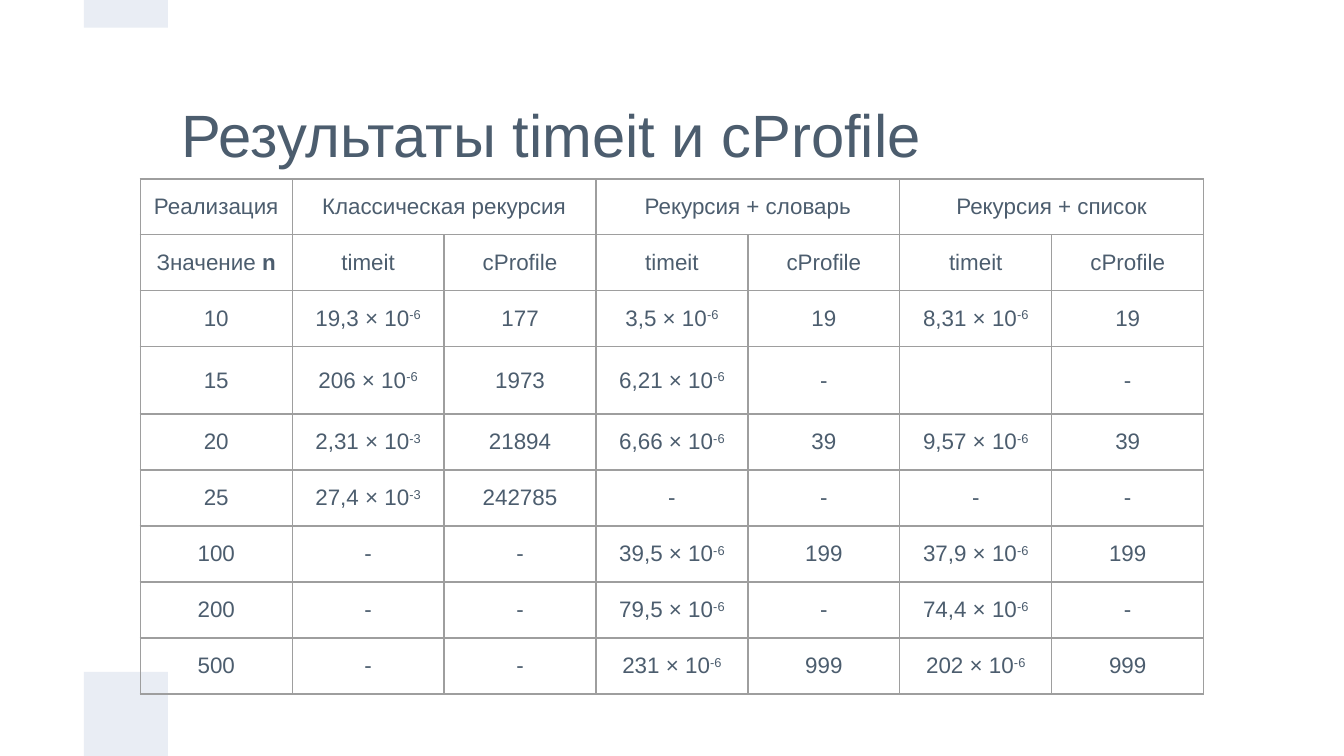
from dataclasses import dataclass

from lxml.etree import SubElement as Sub
from pptx import Presentation
from pptx.dml.color import RGBColor as Rgb
from pptx.enum.shapes import MSO_SHAPE as Shape
from pptx.enum.text import MSO_ANCHOR as Anchor, PP_ALIGN as Align
from pptx.oxml.ns import qn
from pptx.util import Inches, Pt


@dataclass(frozen=True)
class Theme:
    """Colours, type and spacing of the slide."""

    ink: str = "4C5D6E"
    pale: str = "E9EDF4"
    rule: str = "9E9E9E"
    font: str = "Arial"
    head: int = 32
    body: int = 12
    bare: int = 18
    line: float = 0.75
    pad: float = 0.1


THEME = Theme()
COLS, ROWS = 16, 9
WIDE = 10
HIGH = WIDE * ROWS / COLS
HEADS = ["Классическая рекурсия", "Рекурсия + словарь", "Рекурсия + список"]
DATA = [
    ["10", "19,3 × 10^-6", "177", "3,5 × 10^-6", "19", "8,31 × 10^-6", "19"],
    ["15", "206 × 10^-6", "1973", "6,21 × 10^-6", "-", "", "-"],
    ["20", "2,31 × 10^-3", "21894", "6,66 × 10^-6", "39", "9,57 × 10^-6", "39"],
    ["25", "27,4 × 10^-3", "242785", "-", "-", "-", "-"],
    ["100", "-", "-", "39,5 × 10^-6", "199", "37,9 × 10^-6", "199"],
    ["200", "-", "-", "79,5 × 10^-6", "-", "74,4 × 10^-6", "-"],
    ["500", "-", "-", "231 × 10^-6", "999", "202 × 10^-6", "999"],
]


def grid(col, row, wide, high):
    """Turn grid columns and rows into a box of lengths."""
    dx, dy = WIDE / COLS, HIGH / ROWS
    return [Inches(n) for n in (col * dx, row * dy, wide * dx, high * dy)]


def style(para, size):
    """Give a paragraph the theme font."""
    para.font.name = THEME.font
    para.font.size = Pt(size)
    para.font.color.rgb = Rgb.from_string(THEME.ink)


def inset(part):
    """Set equal margins on a text frame or cell."""
    part.margin_left = part.margin_right = Inches(THEME.pad)
    part.margin_top = part.margin_bottom = Inches(THEME.pad)


def block(slide, box):
    """Draw one pale block that fills the box."""
    shape = slide.shapes.add_shape(Shape.RECTANGLE, *box)
    shape.shadow.inherit = False
    shape.fill.solid()
    shape.fill.fore_color.rgb = Rgb.from_string(THEME.pale)
    shape.line.fill.background()


def title(slide, box, text):
    """Write the slide title in the box."""
    frame = slide.shapes.add_textbox(*box).text_frame
    frame.word_wrap = True
    inset(frame)
    para = frame.paragraphs[0]
    para.add_run().text = text
    style(para, THEME.head)


def border(cell):
    """Rule all four sides of a cell."""
    props = cell._tc.get_or_add_tcPr()
    for side in ("lnL", "lnR", "lnT", "lnB"):
        line = Sub(props, qn(f"a:{side}"), w=str(Pt(THEME.line)))
        fill = Sub(line, qn("a:solidFill"))
        Sub(fill, qn("a:srgbClr"), val=THEME.rule)


def write(cell, text):
    """Write centred text, raising what follows a caret and bolding what follows a star."""
    para = cell.text_frame.paragraphs[0]
    para.alignment = Align.CENTER
    style(para, THEME.body if text else THEME.bare)
    if not text:
        return
    mark = "*" if "*" in text else "^"
    base, _, tail = text.partition(mark)
    para.add_run().text = base
    if tail:
        run = para.add_run()
        run.text = tail
        if mark == "*":
            run.font.bold = True
        else:
            run._r.get_or_add_rPr().set("baseline", "30000")


def results(slide, box):
    """Build the table of timings in the box."""
    top = ["Реализация"] + [text for head in HEADS for text in (head, "")]
    sub = ["Значение *n"] + ["timeit", "cProfile"] * len(HEADS)
    rows = [top, sub, *DATA]
    table = slide.shapes.add_table(len(rows), len(sub), *box).table
    table.first_row = table.horz_banding = False
    for row, texts in enumerate(rows):
        for col, text in enumerate(texts):
            cell = table.cell(row, col)
            inset(cell)
            cell.vertical_anchor = Anchor.MIDDLE
            border(cell)
            cell.fill.background()
            write(cell, text)
    for col in range(1, len(sub), 2):
        table.cell(0, col).merge(table.cell(0, col + 1))


def main():
    """Build and save the slide."""
    deck = Presentation()
    deck.slide_width, deck.slide_height = Inches(WIDE), Inches(HIGH)
    slide = deck.slides.add_slide(deck.slide_layouts[6])
    block(slide, grid(1, 8, 1, 1))
    block(slide, grid(1, 0, 1, 0.33))
    title(slide, grid(2, 1, 12, 2), "Результаты timeit и cProfile")
    results(slide, grid(1.67, 2.13, 12.66, 6))
    deck.save("out.pptx")


if __name__ == "__main__":
    main()
